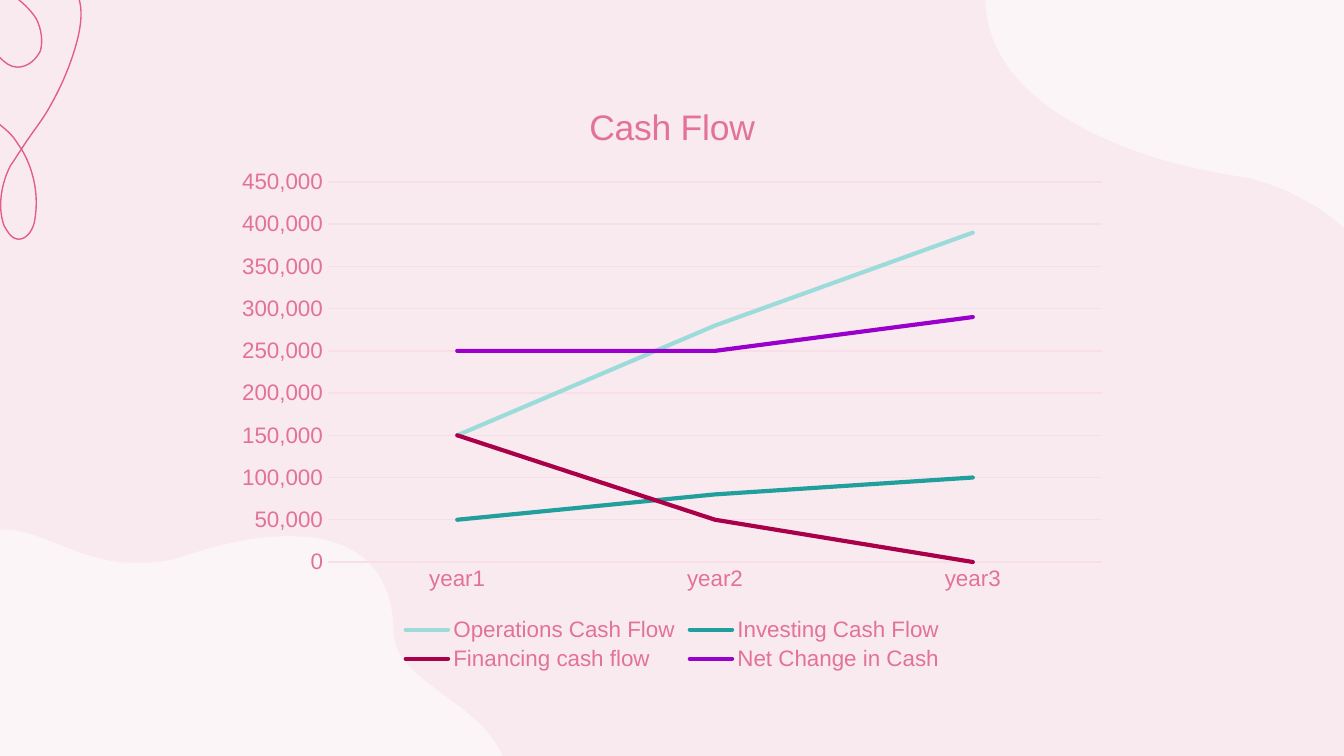
import math

from lxml import etree
from pptx import Presentation
from pptx import util as u
from pptx.chart import data as chart_data
from pptx.dml import color
from pptx.enum import chart as ch
from pptx.oxml import ns

BACKGROUND = color.RGBColor(0xF9, 0xEA, 0xF0)
WHITE = color.RGBColor(0xFF, 0xFF, 0xFF)
DOODLE_PINK = color.RGBColor(0xE1, 0x5E, 0x8B)
TEXT_PINK = color.RGBColor(0xE2, 0x72, 0x97)
GRID_PINK = color.RGBColor(0xF8, 0xDE, 0xE7)
FONT = "Arial"
CM_PER_UNIT = 2.54

YEARS = ("year1", "year2", "year3")
CASH_FLOWS = (
    ("Operations Cash Flow", (150000, 280000, 390000), color.RGBColor(0x9B, 0xDC, 0xDB)),
    ("Investing Cash Flow", (50000, 80000, 100000), color.RGBColor(0x20, 0x9F, 0x9D)),
    ("Financing cash flow", (150000, 50000, 0), color.RGBColor(0xA9, 0x00, 0x49)),
    ("Net Change in Cash", (250000, 250000, 290000), color.RGBColor(0x99, 0x00, 0xCC)),
)

# Outlines: a start point, then two numbers for a line or six for a curve.
LOWER_BLOB = (
    (0.02, 3.94), (0.24, 3.94, 0.45, 4.08, 0.72, 4.15),
    (0.82, 4.18, 0.93, 4.19, 1.03, 4.19), (1.12, 4.19, 1.21, 4.18, 1.31, 4.16),
    (1.61, 4.05, 1.9, 3.99, 2.15, 3.99), (2.62, 3.99, 2.93, 4.2, 2.93, 4.73),
    (2.97, 5.14, 3.79, 5.26, 3.79, 5.87), (3.79, 5.97, 3.77, 6.06, 3.71, 6.21),
    (-0.64, 6.18), (-0.67, 6.1, -0.67, 5.98, -0.66, 5.87),
    (-0.63, 5.72, -0.55, 5.53, -0.34, 5.36), (-0.17, 5.22, -0.19, 5.03, -0.25, 4.84),
    (-0.33, 4.61, -0.42, 4.41, -0.4, 4.21), (-0.38, 4.12, -0.32, 4.04, -0.19, 3.99),
    (-0.13, 3.95, -0.06, 3.94, 0.02, 3.94),
)
UPPER_BLOB = (
    (10.88, 2.57), (10.58, 2.41, 10.39, 2.06, 10.08, 1.76),
    (9.97, 1.65, 9.84, 1.55, 9.7, 1.48), (9.58, 1.41, 9.45, 1.36, 9.29, 1.32),
    (8.8, 1.25, 8.37, 1.12, 8.03, 0.93), (7.4, 0.59, 7.13, 0.06, 7.52, -0.66),
    (7.77, -1.23, 6.74, -2, 7.2, -2.83), (7.27, -2.95, 7.37, -3.07, 7.55, -3.22),
    (13.42, 0.01), (13.4, 0.15, 13.32, 0.31, 13.22, 0.45),
    (13.07, 0.64, 12.82, 0.84, 12.41, 0.91), (12.08, 0.97, 11.97, 1.24, 11.91, 1.55),
    (11.84, 1.92, 11.82, 2.25, 11.68, 2.46), (11.57, 2.62, 11.41, 2.67, 11.2, 2.66),
    (11.1, 2.66, 10.99, 2.63, 10.88, 2.57),
)
UPPER_BLOB_CENTRE = (9.62, -0.1)
UPPER_BLOB_ANGLE = 208.6
DOODLE_LOOPS = (
    ((-0.17, -0.13), (0, -0.12, 0.18, 0, 0.27, 0.14), (0.31, 0.22, 0.32, 0.31, 0.3, 0.38),
     (0.27, 0.44, 0.21, 0.5, 0.13, 0.5), (0.08, 0.5, 0.04, 0.47, 0, 0.43),
     (-0.14, 0.31, -0.21, 0.16, -0.21, 0.02), (-0.21, -0.03, -0.2, -0.08, -0.17, -0.13)),
    ((0.11, -0.34), (0.19, -0.34, 0.28, -0.3, 0.38, -0.23),
     (0.45, -0.18, 0.54, -0.12, 0.58, -0.03), (0.62, 0.07, 0.6, 0.19, 0.58, 0.28),
     (0.53, 0.48, 0.45, 0.66, 0.35, 0.83), (0.29, 0.93, 0.22, 1.01, 0.16, 1.11),
     (0.13, 1.07, 0.11, 1.03, 0.08, 1), (-0.03, 0.89, -0.17, 0.81, -0.31, 0.73),
     (-0.37, 0.69, -0.44, 0.65, -0.5, 0.61), (-0.54, 0.58, -0.58, 0.55, -0.62, 0.51),
     (-0.66, 0.46, -0.66, 0.38, -0.64, 0.29), (-0.59, 0.13, -0.47, -0.04, -0.36, -0.1),
     (-0.31, -0.13, -0.25, -0.14, -0.18, -0.13), (-0.12, -0.24, -0.02, -0.34, 0.11, -0.34)),
    ((0.16, 1.11), (0.25, 1.26, 0.29, 1.45, 0.26, 1.63), (0.25, 1.71, 0.2, 1.78, 0.14, 1.78),
     (0.08, 1.78, 0.05, 1.71, 0.03, 1.68), (-0.03, 1.51, 0.03, 1.32, 0.08, 1.23),
     (0.11, 1.19, 0.13, 1.15, 0.16, 1.11)),
)


def pairs(step):
    return list(zip(step[::2], step[1::2]))


def rotate(outline, centre, degrees):
    cos, sin = math.cos(math.radians(degrees)), math.sin(math.radians(degrees))
    cx, cy = centre
    return [[value for x, y in pairs(step)
             for value in (cx + (x - cx) * cos - (y - cy) * sin,
                           cy + (x - cx) * sin + (y - cy) * cos)]
            for step in outline]


def bend(shape, outlines):
    """Join the three lines of each six-number step into one cubic curve."""
    lines = iter(list(shape._element.iter(ns.qn("a:lnTo"))))
    for outline in outlines:
        for step in outline[1:]:
            parts = [next(lines) for _ in pairs(step)]
            if len(parts) == 3:
                curve = etree.Element(ns.qn("a:cubicBezTo"))
                parts[0].addprevious(curve)
                for part in parts:
                    curve.append(part[0])
                    part.getparent().remove(part)


def add_freeform(page, outlines):
    builder = None
    for outline in outlines:
        start, *points = [(u.Cm(x * CM_PER_UNIT), u.Cm(y * CM_PER_UNIT))
                          for step in outline for x, y in pairs(step)]
        if builder is None:
            builder = page.shapes.build_freeform(*start)
        else:
            builder.move_to(*start)
        builder.add_line_segments(points, close=True)
    shape = builder.convert_to_shape()
    bend(shape, outlines)
    shape.shadow.inherit = False
    return shape


def add_blob(page, outline, angle=0):
    blob = add_freeform(page, [outline])
    blob.rotation = angle
    blob.fill.solid()
    blob.fill.fore_color.rgb = WHITE
    blob.line.fill.background()
    tint = blob._element.spPr.find(".//" + ns.qn("a:srgbClr"))
    etree.SubElement(tint, ns.qn("a:alpha")).set("val", "54000")


def add_doodle(page):
    doodle = add_freeform(page, DOODLE_LOOPS)
    doodle.fill.background()
    doodle.line.color.rgb = DOODLE_PINK
    doodle.line.width = u.Pt(0.75)


def style_font(font, size):
    font.name, font.size, font.bold = FONT, u.Pt(size), False
    font.color.rgb = TEXT_PINK


def style_rule(line):
    line.color.rgb = GRID_PINK
    line.width = u.Pt(0.75)


def set_layout(parent, index, **values):
    """Place a chart part by fractions of the chart area."""
    for old in parent.findall(ns.qn("c:layout")):
        parent.remove(old)
    layout = etree.Element(ns.qn("c:layout"))
    manual = etree.SubElement(layout, ns.qn("c:manualLayout"))
    for name, value in values.items():
        etree.SubElement(manual, ns.qn("c:" + name)).set("val", str(value))
    parent.insert(index, layout)


def style_axes(chart):
    for axis in (chart.category_axis, chart.value_axis):
        axis.major_tick_mark = axis.minor_tick_mark = ch.XL_TICK_MARK.NONE
        style_font(axis.tick_labels.font, 12)
    style_rule(chart.category_axis.format.line)
    values = chart.value_axis
    values.minimum_scale, values.maximum_scale, values.major_unit = 0, 450000, 50000
    values.format.line.fill.background()
    style_rule(values.major_gridlines.format.line)
    values.tick_labels.number_format = "#,##0"
    values.tick_labels.number_format_is_linked = False


def add_cash_flow_chart(page):
    data = chart_data.CategoryChartData(number_format="#,##0")
    data.categories = YEARS
    for name, values, _ in CASH_FLOWS:
        data.add_series(name, values)
    chart = page.shapes.add_chart(ch.XL_CHART_TYPE.LINE, u.Cm(4.24), u.Cm(1.5),
                                  u.Cm(16.94), u.Cm(11.28), data).chart
    style_font(chart.font, 12)
    chart.plots[0].vary_by_categories = False
    for series, (_, _, tint) in zip(chart.plots[0].series, CASH_FLOWS):
        series.smooth = False
        series.format.line.color.rgb = tint
        series.format.line.width = u.Pt(2.25)
        series._element.find(".//" + ns.qn("a:ln")).set("cap", "rnd")
    style_axes(chart)

    span = chart.chart_title.text_frame.paragraphs[0].add_run()
    span.text = "Cash Flow"
    style_font(span.font, 19)
    set_layout(chart.chart_title._element, 1, xMode="edge", yMode="edge", x=0.4, y=0.03)
    set_layout(chart._chartSpace.chart.plotArea, 0, layoutTarget="inner", xMode="edge",
               yMode="edge", x=0.116, y=0.172, w=0.863, h=0.637)

    chart.has_legend = True
    chart.legend.position = ch.XL_LEGEND_POSITION.BOTTOM
    chart.legend.include_in_layout = False
    style_font(chart.legend.font, 12)


def main():
    deck = Presentation()
    deck.slide_width, deck.slide_height = u.Cm(25.4), u.Cm(14.29)
    page = deck.slides.add_slide(deck.slide_layouts[6])
    page.background.fill.solid()
    page.background.fill.fore_color.rgb = BACKGROUND
    add_blob(page, LOWER_BLOB)
    upright = rotate(UPPER_BLOB, UPPER_BLOB_CENTRE, -UPPER_BLOB_ANGLE)
    add_blob(page, upright, UPPER_BLOB_ANGLE)
    add_doodle(page)
    add_cash_flow_chart(page)
    deck.save("out.pptx")


if __name__ == "__main__":
    main()
